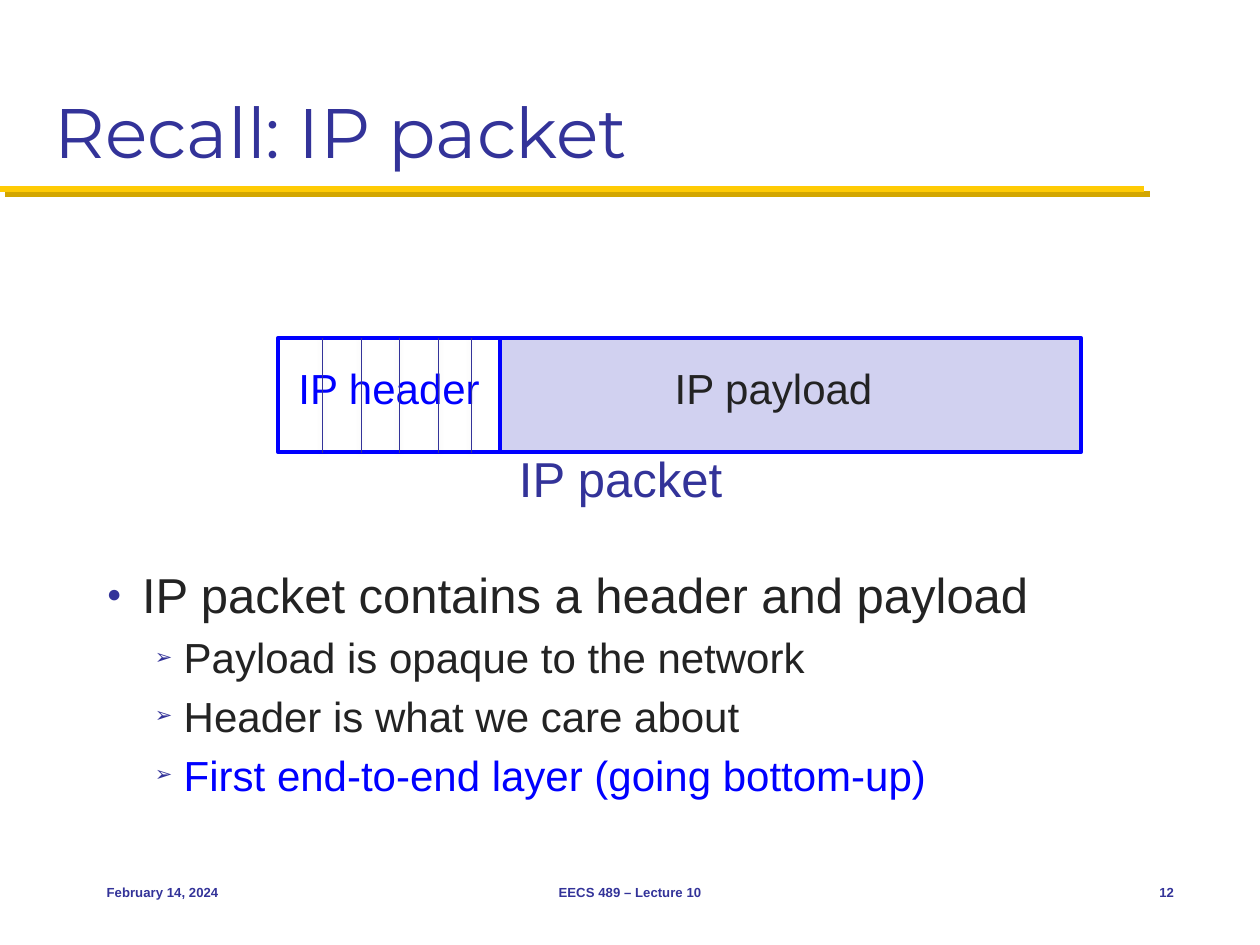
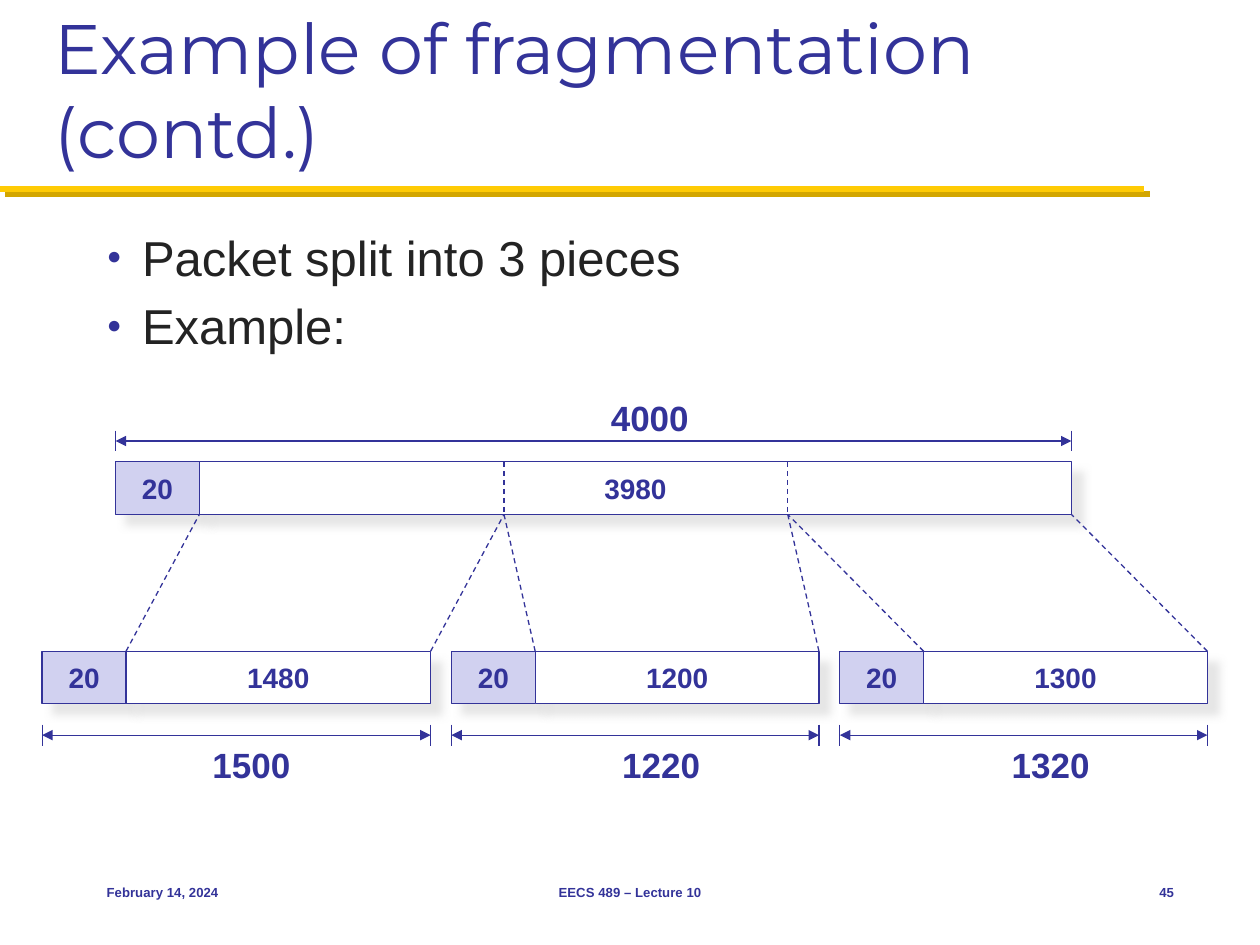
from lxml.etree import SubElement
from pptx import Presentation
from pptx.dml.color import RGBColor
from pptx.enum.dml import MSO_LINE
from pptx.enum.shapes import MSO_CONNECTOR, MSO_SHAPE
from pptx.enum.text import MSO_ANCHOR, MSO_AUTO_SIZE, PP_ALIGN
from pptx.oxml.ns import qn
from pptx.util import Cm, Pt

INDIGO = RGBColor(0x33, 0x33, 0x99)
LAVENDER = RGBColor(0xD1, 0xD1, 0xF0)
BLUE = RGBColor(0x00, 0x00, 0xFF)
INK = RGBColor(0x23, 0x23, 0x23)
WHITE = RGBColor(0xFF, 0xFF, 0xFF)
MAIZE = RGBColor(0xFF, 0xCB, 0x05)
DARK_MAIZE = RGBColor(0xD3, 0xA6, 0x00)
SILVER = RGBColor(0xCE, 0xCE, 0xCE)
BLACK = RGBColor(0x00, 0x00, 0x00)

TITLE_FONT = {"name": "Montserrat", "size": Pt(40), "bold": False}
BODY_FONT = {"name": "Arial", "bold": False}
BAR_FONT = {"name": "Arial", "size": Pt(16), "bold": True}
LENGTH_FONT = {"name": "Arial", "size": Pt(20), "bold": True}
FOOTER_FONT = {"name": "Arial", "size": Pt(7.5), "bold": True}

BULLETS = [
    {"char": "●", "margin": 0.71, "hanging": 0.71, "size": Pt(28)},
    {"char": "➢", "margin": 1.55, "hanging": 0.58, "size": Pt(24)},
]

RULE_SHADOW = {"color": DARK_MAIZE, "opacity": 100, "blur": 0, "distance": 4.2, "angle": 45}
BAR_SHADOW = {"color": SILVER, "opacity": 50, "blur": 5, "distance": 8.5, "angle": 45}
FIELD_SHADOW = {"color": BLACK, "opacity": 38, "blur": 3.1, "distance": 1.6, "angle": 90}

HEADER_WIDTH = 1.69
BAR_HEIGHT = 1.06
PACKET_LEFT, PACKET_TOP = 2.33, 9.31
FRAGMENT_LEFT, FRAGMENT_TOP, FRAGMENT_GAP = 0.85, 13.13, 0.42
FRAGMENTS = [
    ("1480", "1500", 6.14, 4.01),
    ("1200", "1220", 5.72, 12.27),
    ("1300", "1320", 5.72, 20.12),
]


def apply_format(target, values):
    for name, value in values.items():
        setattr(target, name, value)


def set_shadow(shape, shadow=None):
    properties = shape._element.spPr
    effects = properties.find(qn("a:effectLst"))
    if effects is None:
        effects = SubElement(properties, qn("a:effectLst"))
    if shadow:
        outer = SubElement(effects, qn("a:outerShdw"), {
            "blurRad": str(Pt(shadow["blur"])),
            "dist": str(Pt(shadow["distance"])),
            "dir": str(shadow["angle"] * 60000),
            "algn": "ctr",
            "rotWithShape": "0",
        })
        color = SubElement(outer, qn("a:srgbClr"), val=str(shadow["color"]))
        SubElement(color, qn("a:alpha"), val=str(shadow["opacity"] * 1000))


def add_line(slide, start, end, color=INDIGO, width=0.75, dash=None, arrows=False, shadow=None):
    connector = slide.shapes.add_connector(
        MSO_CONNECTOR.STRAIGHT, *[Cm(value) for value in (*start, *end)])
    connector.line.color.rgb = color
    apply_format(connector.line, {"width": Pt(width), "dash_style": dash})
    if arrows:
        line_element = connector.line._get_or_add_ln()
        for tag in ("a:headEnd", "a:tailEnd"):
            SubElement(line_element, qn(tag), type="triangle")
    set_shadow(connector, shadow)


def write_text(shape, text, font, color, alignment, anchor):
    apply_format(shape.text_frame, {
        "auto_size": MSO_AUTO_SIZE.NONE, "word_wrap": True, "vertical_anchor": anchor})
    paragraph = shape.text_frame.paragraphs[0]
    paragraph.alignment = alignment
    run = paragraph.add_run()
    run.text = text
    apply_format(run.font, font)
    run.font.color.rgb = color


def add_label(slide, text, box, font, color=INDIGO, alignment=PP_ALIGN.CENTER,
              anchor=MSO_ANCHOR.TOP):
    label = slide.shapes.add_textbox(*[Cm(value) for value in box])
    write_text(label, text, font, color, alignment, anchor)


def add_box(slide, box, fill, line, width, text=None, shadow=None):
    shape = slide.shapes.add_shape(MSO_SHAPE.RECTANGLE, *[Cm(value) for value in box])
    shape.fill.solid()
    shape.fill.fore_color.rgb = fill
    shape.line.color.rgb = line
    shape.line.width = Pt(width)
    shape.shadow.inherit = False
    set_shadow(shape, shadow)
    if text:
        write_text(shape, text, BAR_FONT, INDIGO, PP_ALIGN.CENTER, MSO_ANCHOR.MIDDLE)


def place(shape, box):
    apply_format(shape, dict(zip(("left", "top", "width", "height"), map(Cm, box))))


def add_bullets(body, items):
    frame = body.text_frame
    frame.auto_size = MSO_AUTO_SIZE.NONE
    for index, (text, level, color) in enumerate(items):
        paragraph = frame.paragraphs[0] if index == 0 else frame.add_paragraph()
        paragraph.level = level
        bullet = BULLETS[level]
        properties = paragraph._p.get_or_add_pPr()
        properties.set("marL", str(Cm(bullet["margin"])))
        properties.set("indent", str(-Cm(bullet["hanging"])))
        bullet_color = SubElement(properties, qn("a:buClr"))
        SubElement(bullet_color, qn("a:srgbClr"), val=str(INDIGO))
        SubElement(properties, qn("a:buSzPct"), val="50000")
        SubElement(properties, qn("a:buFont"), typeface="Arial")
        SubElement(properties, qn("a:buChar"), char=bullet["char"])
        run = paragraph.add_run()
        run.text = text
        apply_format(run.font, {**BODY_FONT, "size": bullet["size"]})
        run.font.color.rgb = color


def add_footer(slide, number):
    parts = [
        ("February 14, 2024", 1.9, 5.29, PP_ALIGN.LEFT),
        ("EECS 489 – Lecture 10", 8.68, 8.04, PP_ALIGN.CENTER),
        (number, 22.22, 1.7, PP_ALIGN.RIGHT),
    ]
    for text, left, width, alignment in parts:
        add_label(slide, text, (left, 17.36, width, 1.27), FOOTER_FONT,
                  alignment=alignment, anchor=MSO_ANCHOR.MIDDLE)


def add_content_slide(presentation, title, body_box, bullets, number):
    slide = presentation.slides.add_slide(presentation.slide_layouts[1])
    add_line(slide, (0, 3.81), (23.07, 3.81), MAIZE, 3.5, shadow=RULE_SHADOW)
    place(slide.shapes.title, (0.85, 0.42, 23.7, 3.18))
    write_text(slide.shapes.title, title, TITLE_FONT, INDIGO, PP_ALIGN.LEFT, MSO_ANCHOR.BOTTOM)
    body = slide.placeholders[1]
    place(body, body_box)
    add_bullets(body, bullets)
    add_footer(slide, number)
    return slide


def add_ip_packet(slide):
    top, height = 6.81, 2.31
    add_box(slide, (5.61, top, 4.49, height), WHITE, BLUE, 2.25)
    add_box(slide, (10.08, top, 11.71, height), LAVENDER, BLUE, 2.25)
    label_font = {**BODY_FONT, "size": Pt(24)}
    add_label(slide, "IP header", (5.41, 7.19, 4.87, 1.28), label_font, BLUE)
    add_label(slide, "IP payload", (10.44, 7.19, 10.31, 1.28), label_font, INK)
    for left in (6.5, 7.28, 8.05, 8.84, 9.5):
        add_line(slide, (left, top), (left, top + height), width=0.25,
                 dash=MSO_LINE.ROUND_DOT, shadow=FIELD_SHADOW)
    add_label(slide, "IP packet", (9.65, 8.92, 5.72, 1.44), {**BODY_FONT, "size": Pt(28)})


def add_bar(slide, left, top, payload, payload_width):
    cells = [("20", left, HEADER_WIDTH, LAVENDER),
             (payload, left + HEADER_WIDTH, payload_width, WHITE)]
    for text, cell_left, width, fill in cells:
        add_box(slide, (cell_left, top, width, BAR_HEIGHT), fill, INDIGO, 0.75, text, BAR_SHADOW)


def add_length(slide, text, left, right, level, label_left, label_top):
    for end in (left, right):
        add_line(slide, (end, level - 0.21), (end, level + 0.21))
    add_line(slide, (left, level), (right, level), arrows=True)
    add_label(slide, text, (label_left, label_top, 2.12, 1.11), LENGTH_FONT)


def add_fragmentation(slide):
    payload_width = sum(fragment[2] for fragment in FRAGMENTS)
    packet_bottom = PACKET_TOP + BAR_HEIGHT
    cut = PACKET_LEFT + HEADER_WIDTH
    packet_right = cut + payload_width
    add_bar(slide, PACKET_LEFT, PACKET_TOP, "3980", payload_width)
    add_length(slide, "4000", PACKET_LEFT, packet_right, 8.89, 12.04, 7.87)

    left = FRAGMENT_LEFT
    for index, (payload, total, width, label_left) in enumerate(FRAGMENTS):
        start = left + HEADER_WIDTH
        right = start + width
        add_bar(slide, left, FRAGMENT_TOP, payload, width)
        add_length(slide, total, left, right, 14.82, label_left, 14.86)
        if index:
            add_line(slide, (cut, PACKET_TOP), (cut, packet_bottom), dash=MSO_LINE.DASH)
        for low, high in ((start, cut), (right, cut + width)):
            add_line(slide, (low, FRAGMENT_TOP), (high, packet_bottom), dash=MSO_LINE.DASH)
        cut += width
        left = right + FRAGMENT_GAP


def main():
    presentation = Presentation()
    apply_format(presentation, {"slide_width": Cm(25.4), "slide_height": Cm(19.05)})
    packet_slide = add_content_slide(
        presentation, "Recall: IP packet", (1.9, 11.25, 22.01, 5.48),
        [("IP packet contains a header and payload", 0, INK),
         ("Payload is opaque to the network", 1, INK),
         ("Header is what we care about", 1, INK),
         ("First end-to-end layer (going bottom-up)", 1, BLUE)], "12")
    add_ip_packet(packet_slide)
    fragment_slide = add_content_slide(
        presentation, "Example of fragmentation (contd.)", (1.9, 4.45, 22.01, 12.28),
        [("Packet split into 3 pieces", 0, INK), ("Example:", 0, INK)], "45")
    add_fragmentation(fragment_slide)
    presentation.save("out.pptx")


if __name__ == "__main__":
    main()
